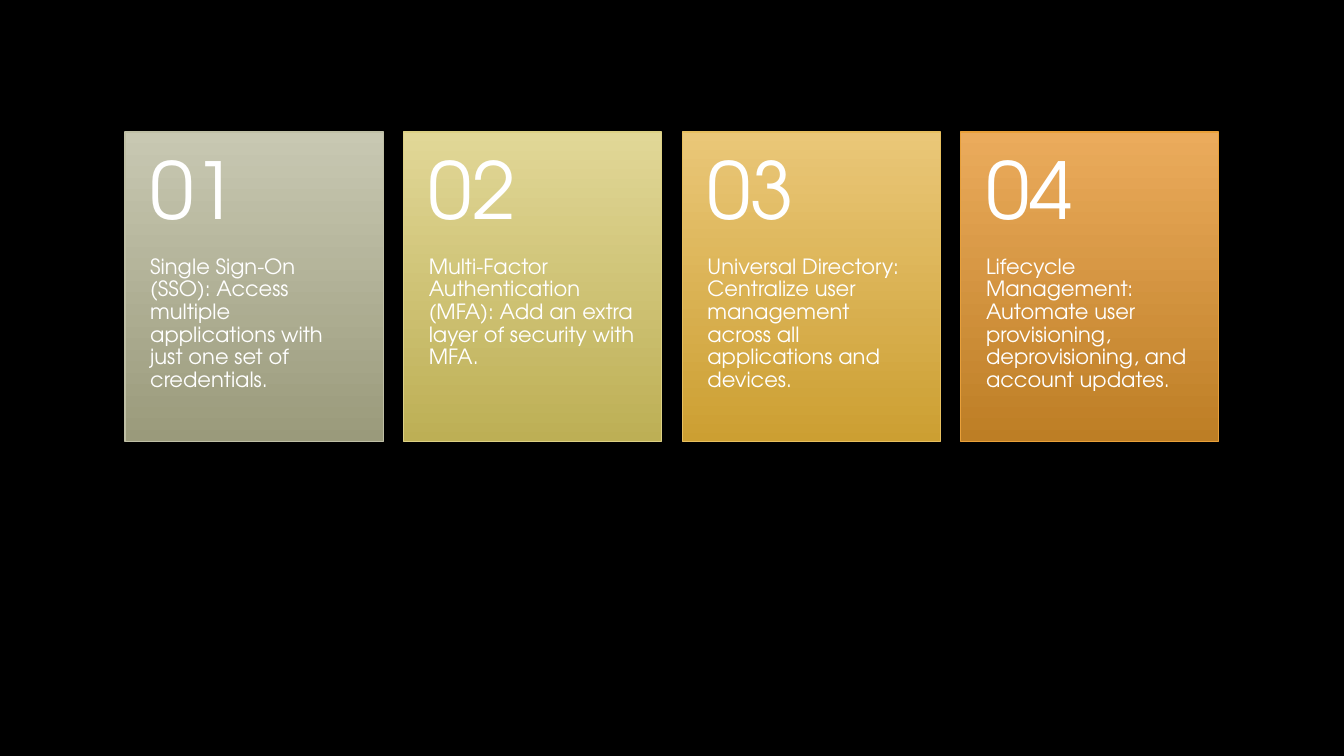
from pptx import Presentation
from pptx.dml.color import RGBColor
from pptx.enum.shapes import MSO_SHAPE
from pptx.enum.text import MSO_ANCHOR, PP_ALIGN
from pptx.util import Inches, Pt

RECTANGLE = MSO_SHAPE.RECTANGLE
TOP, MIDDLE = MSO_ANCHOR.TOP, MSO_ANCHOR.MIDDLE
LEFT = PP_ALIGN.LEFT

FONT = "TeX Gyre Adventor"
BLACK = RGBColor(0x00, 0x00, 0x00)
WHITE = RGBColor(0xFF, 0xFF, 0xFF)
SAGE = (RGBColor(0xC8, 0xC8, 0xB2), RGBColor(0x9A, 0x9A, 0x7B), RGBColor(0xBF, 0xBF, 0xA5))
OLIVE = (RGBColor(0xE1, 0xD7, 0x97), RGBColor(0xBD, 0xAF, 0x55), RGBColor(0xDC, 0xD0, 0x84))
GOLD = (RGBColor(0xEA, 0xC7, 0x78), RGBColor(0xCC, 0x9F, 0x32), RGBColor(0xE7, 0xBF, 0x5F))
ORANGE = (RGBColor(0xEB, 0xAB, 0x5C), RGBColor(0xBD, 0x7E, 0x25), RGBColor(0xE9, 0xA0, 0x39))

FIRST_LEFT, LAST_LEFT = 1.24, 9.53
CARD_TOP, CARD_WIDTH, CARD_HEIGHT = 1.31, 2.56, 3.07
NUMBER_HEIGHT = 1.23
SIDE_INSET = 0.25

FEATURES = [
    ("Single Sign-On (SSO): Access multiple applications with just one set of credentials.", SAGE),
    ("Multi-Factor Authentication (MFA): Add an extra layer of security with MFA.", OLIVE),
    ("Universal Directory: Centralize user management across all applications and devices.", GOLD),
    ("Lifecycle Management: Automate user provisioning, deprovisioning, and account updates.", ORANGE),
]


def add_panel(slide, left, colors):
    """Add a card background with a vertical gradient and a thin outline."""
    start, end, outline = colors
    shape = slide.shapes.add_shape(
        RECTANGLE, Inches(left), Inches(CARD_TOP), Inches(CARD_WIDTH), Inches(CARD_HEIGHT)
    )
    shape.shadow.inherit = False
    shape.fill.gradient()
    shape.fill.gradient_angle = 270
    for stop, color, position in zip(shape.fill.gradient_stops, (start, end), (0, 1)):
        stop.color.rgb = color
        stop.position = position
    shape.line.color.rgb = outline
    shape.line.width = Pt(0.75)


def add_text(slide, text, left, top, height, size, anchor, inset_top, inset_bottom):
    """Add a white text box as wide as a card."""
    box = slide.shapes.add_textbox(
        Inches(left), Inches(top), Inches(CARD_WIDTH), Inches(height)
    )
    frame = box.text_frame
    frame.word_wrap = True
    frame.vertical_anchor = anchor
    frame.margin_left = frame.margin_right = Inches(SIDE_INSET)
    frame.margin_top = Inches(inset_top)
    frame.margin_bottom = Inches(inset_bottom)
    frame.text = text
    paragraph = frame.paragraphs[0]
    paragraph.alignment = LEFT
    paragraph.line_spacing = 0.9
    font = paragraph.runs[0].font
    font.name = FONT
    font.size = Pt(size)
    font.color.rgb = WHITE


def add_card(slide, number, left, description, colors):
    """Add one numbered feature card."""
    add_panel(slide, left, colors)
    add_text(slide, description, left, CARD_TOP + NUMBER_HEIGHT,
             CARD_HEIGHT - NUMBER_HEIGHT, 15, TOP, 0, 0.36)
    add_text(slide, f"{number:02d}", left, CARD_TOP, NUMBER_HEIGHT, 56, MIDDLE, 0.18, 0.18)


def main():
    """Build the slide with its row of feature cards."""
    presentation = Presentation()
    presentation.slide_width = Inches(13.33)
    presentation.slide_height = Inches(7.5)
    slide = presentation.slides.add_slide(presentation.slide_layouts[6])
    slide.background.fill.solid()
    slide.background.fill.fore_color.rgb = BLACK
    pitch = (LAST_LEFT - FIRST_LEFT) / (len(FEATURES) - 1)
    for index, (description, colors) in enumerate(FEATURES):
        add_card(slide, index + 1, FIRST_LEFT + index * pitch, description, colors)
    presentation.save("out.pptx")


if __name__ == "__main__":
    main()
